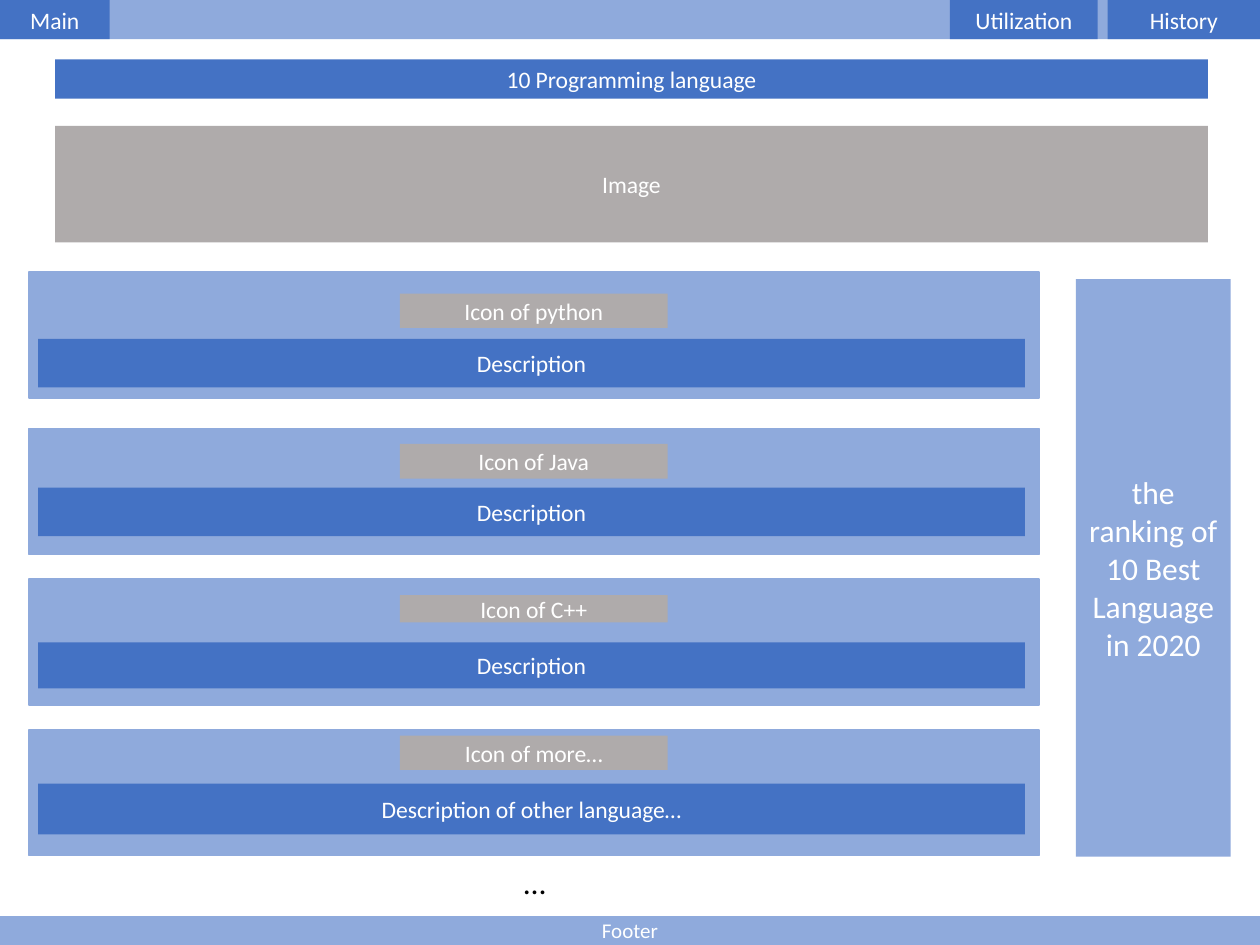
from dataclasses import dataclass

import pptx
import pptx.dml.color
import pptx.enum.shapes
import pptx.enum.text
import pptx.util

Cm = pptx.util.Cm


@dataclass(frozen=True)
class Theme:
    font: str = "Calibri"
    panel: str = "8FAADC"
    accent: str = "4472C4"
    media: str = "AFABAB"
    light: str = "FFFFFF"
    dark: str = "000000"
    body_size: float = 13.5
    footer_size: float = 12
    large_size: float = 18


@dataclass(frozen=True)
class Box:
    left: float
    top: float
    width: float
    height: float
    fill: str
    text: str = ""
    size: float = 13.5
    inset_x: float = 0.19
    inset_y: float = 0.1
    outlined: bool = False


@dataclass(frozen=True)
class Card:
    top: float
    icon_text: str
    icon_top: float
    icon_height: float
    description: str
    description_top: float
    description_height: float


THEME = Theme()
SLIDE_WIDTH, SLIDE_HEIGHT = 25.4, 19.05
BAR_HEIGHT = 0.79

CARDS = [
    Card(5.49, "Icon of python", 5.92, 0.69, "Description", 6.83, 0.98),
    Card(8.64, "Icon of Java", 8.95, 0.7, "Description", 9.83, 0.98),
    Card(11.68, "Icon of C++", 12, 0.55, "Description", 12.95, 0.93),
    Card(14.71, "Icon of more…", 14.83, 0.69,
         "Description of other language…", 15.8, 1.02),
]

PAGE_BOXES = [
    Box(0, 0, SLIDE_WIDTH, BAR_HEIGHT, THEME.panel),
    Box(0, 0, 2.21, BAR_HEIGHT, THEME.accent, "Main"),
    Box(22.33, 0, 3.07, BAR_HEIGHT, THEME.accent, "History"),
    Box(19.15, 0, 2.98, BAR_HEIGHT, THEME.accent, "Utilization"),
    Box(1.11, 1.2, 23.24, BAR_HEIGHT, THEME.accent, "10 Programming language"),
    Box(1.11, 2.54, 23.24, 2.35, THEME.media, "Image"),
    Box(0, 18.47, SLIDE_WIDTH, 0.58, THEME.panel, "Footer",
        THEME.footer_size, 0.25, 0.13),
    Box(21.69, 5.63, 3.12, 11.64, THEME.panel,
        "the ranking of 10 Best Language in 2020",
        THEME.large_size, 0.25, 0.13),
]


def color(value: str) -> pptx.dml.color.RGBColor:
    return pptx.dml.color.RGBColor.from_string(value)


def write_text(text_frame, text: str, size: float, text_color: str) -> None:
    text_frame.text = text
    font = text_frame.paragraphs[0].runs[0].font
    font.name = THEME.font
    font.size = pptx.util.Pt(size)
    font.color.rgb = color(text_color)


def draw_box(slide, box: Box) -> None:
    shape = slide.shapes.add_shape(
        pptx.enum.shapes.MSO_SHAPE.RECTANGLE,
        Cm(box.left), Cm(box.top), Cm(box.width), Cm(box.height))
    shape.shadow.inherit = False
    shape.fill.solid()
    shape.fill.fore_color.rgb = color(box.fill)
    if box.outlined:
        shape.line.color.rgb = color(box.fill)
        shape.line.width = pptx.util.Pt(1)
    else:
        shape.line.fill.background()
    if not box.text:
        return
    text_frame = shape.text_frame
    text_frame.word_wrap = True
    text_frame.vertical_anchor = pptx.enum.text.MSO_ANCHOR.MIDDLE
    text_frame.margin_left = text_frame.margin_right = Cm(box.inset_x)
    text_frame.margin_top = text_frame.margin_bottom = Cm(box.inset_y)
    write_text(text_frame, box.text, box.size, THEME.light)
    text_frame.paragraphs[0].alignment = pptx.enum.text.PP_ALIGN.CENTER


def draw_card(slide, card: Card) -> None:
    draw_box(slide, Box(0.58, card.top, 20.37, 2.54, THEME.panel, outlined=True))
    draw_box(slide, Box(8.06, card.icon_top, 5.4, card.icon_height,
                        THEME.media, card.icon_text, THEME.body_size))
    draw_box(slide, Box(0.77, card.description_top, 19.89, card.description_height,
                        THEME.accent, card.description, THEME.body_size))


def draw_ellipsis(slide) -> None:
    text_box = slide.shapes.add_textbox(Cm(10.31), Cm(17.27), Cm(0.97), Cm(1.02))
    text_frame = text_box.text_frame
    text_frame.word_wrap = False
    text_frame.auto_size = pptx.enum.text.MSO_AUTO_SIZE.SHAPE_TO_FIT_TEXT
    write_text(text_frame, "…", THEME.large_size, THEME.dark)


def main() -> None:
    presentation = pptx.Presentation()
    presentation.slide_width = Cm(SLIDE_WIDTH)
    presentation.slide_height = Cm(SLIDE_HEIGHT)
    slide = presentation.slides.add_slide(presentation.slide_layouts[6])
    for card in CARDS:
        draw_card(slide, card)
    for box in PAGE_BOXES:
        draw_box(slide, box)
    draw_ellipsis(slide)
    presentation.save("out.pptx")


main()
